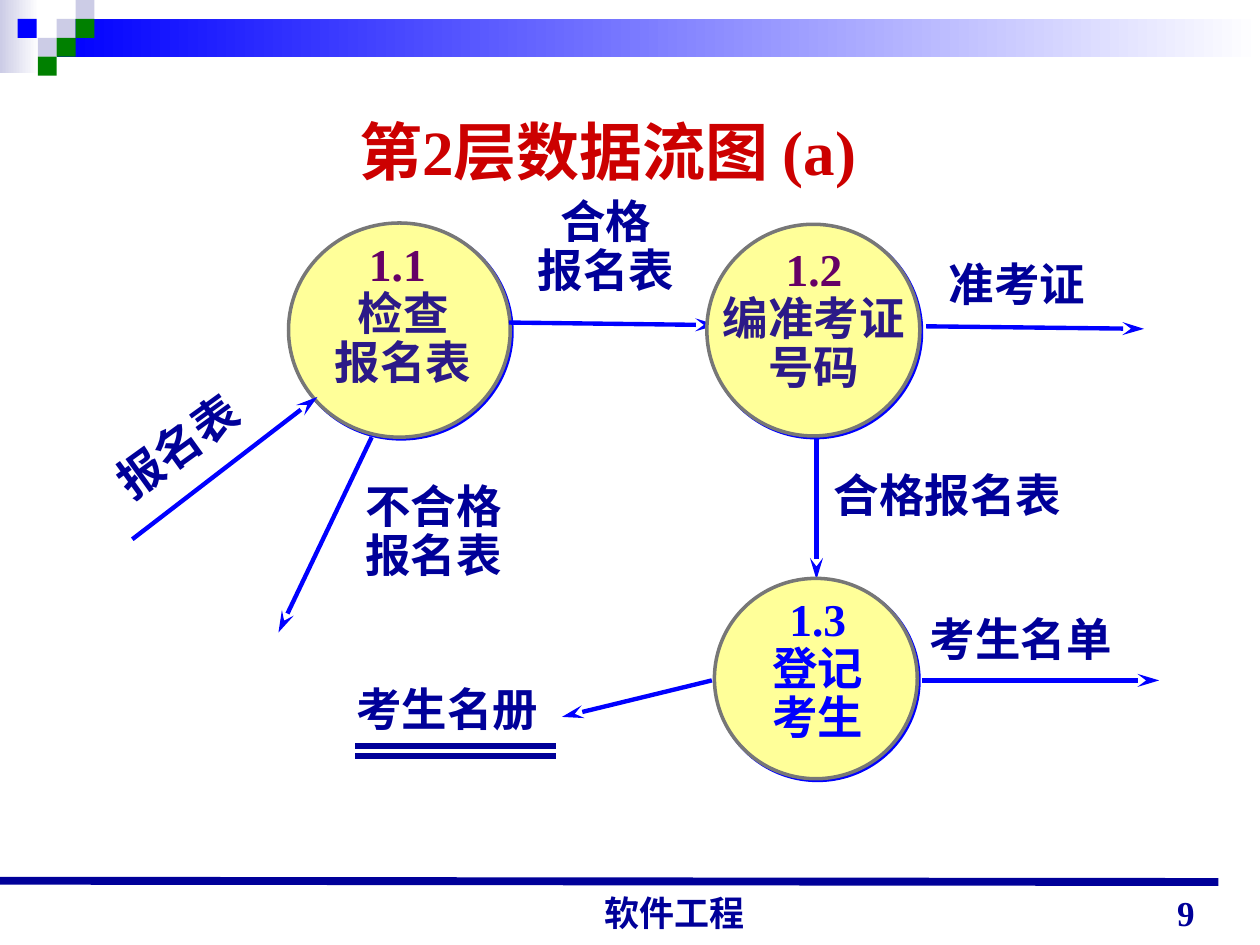
"""Build the level 2 data flow diagram slide."""
from lxml import etree
from pptx import Presentation
from pptx.dml.color import RGBColor
from pptx.enum.shapes import MSO_CONNECTOR as Conn, MSO_SHAPE as Shape
from pptx.enum.text import MSO_ANCHOR as Anchor, PP_ALIGN as Align
from pptx.oxml.ns import qn
from pptx.util import Inches, Pt

hue = RGBColor.from_string
NAVY, BLUE, GREEN, PALE = "000099", "0000FF", "008000", "CCCCE6"


def write(shape, lines, size=26, align=Align.LEFT, anchor=Anchor.TOP, wrap=True):
    frame = shape.text_frame
    frame.word_wrap = wrap
    frame.vertical_anchor = anchor
    for i, (words, tone) in enumerate(lines):
        para = frame.add_paragraph() if i else frame.paragraphs[0]
        para.alignment = align
        para.line_spacing = 0.9 if len(lines) > 1 else 1.0
        run = para.add_run()
        run.text = words
        font = run.font
        font.name, font.size, font.bold = "Times New Roman", Pt(size), True
        font.color.rgb = hue(tone)


def link(ends, tone=BLUE, width=2.5, arrow=True):
    line = shapes.add_connector(Conn.STRAIGHT, *[Inches(n) for n in ends])
    line.line.color.rgb = hue(tone)
    line.line.width = Pt(width)
    if arrow:
        tip = etree.SubElement(line._element.spPr.find(qn("a:ln")), qn("a:tailEnd"))
        tip.set("type", "stealth")
        tip.set("len", "lg")
    etree.SubElement(line._element.spPr, qn("a:effectLst"))


deck = Presentation()
deck.slide_width, deck.slide_height = Inches(10), Inches(7.5)
slide = deck.slides.add_slide(deck.slide_layouts[5])
shapes = slide.shapes

bands = [((0, 0, 0.31, 0.58), PALE), ((0.45, 0.15, 9.55, 0.3), BLUE)]
for box, tone in bands:
    band = shapes.add_shape(Shape.RECTANGLE, *[Inches(n) for n in box])
    band.shadow.inherit = False
    band.line.fill.background()
    band.fill.gradient()
    band.fill.gradient_angle = 0
    for stop, shade in zip(band.fill.gradient_stops, (tone, "FFFFFF")):
        stop.color.rgb = hue(shade)

tiles = [(0.45, 0.15, PALE), (0.6, 0, PALE), (0.6, 0.15, GREEN), (0.3, 0.3, PALE),
         (0.14, 0.15, BLUE), (0.45, 0.3, GREEN), (0.3, 0.45, GREEN)]
for left, top, tone in tiles:
    tile = shapes.add_shape(Shape.RECTANGLE, Inches(left), Inches(top), Inches(0.15), Inches(0.15))
    tile.shadow.inherit = False
    tile.line.fill.background()
    tile.fill.solid()
    tile.fill.fore_color.rgb = hue(tone)

link((0, 6.99, 9.67, 7), NAVY, 4.5, False)

title = shapes.title
title.left, title.top, title.width, title.height = [Inches(n) for n in (2.75, 0.84, 5.2, 1.3)]
write(title, [("第2层数据流图 (a)", "CC0000")], 36)

flows = [(1.05, 4.28, 2.52, 3.15), (4.04, 2.56, 5.69, 2.58), (7.35, 2.59, 9.08, 2.61),
         (2.95, 3.47, 2.21, 5.02), (6.48, 3.47, 6.48, 4.6), (5.65, 5.4, 4.46, 5.69),
         (7.32, 5.4, 9.2, 5.4)]
PLUM, INK = "660066", "2C1A88"
nodes = [
    ([], (2.29, 1.77, 1.76, 1.7), (2.2, 1.87, 2, 1.27),
     [("1.1 ", PLUM), ("检查", INK), ("报名表", INK)]),
    (flows, (5.61, 1.78, 1.69, 1.68), (5.62, 1.91, 1.68, 1.27),
     [("1.2", PLUM), ("编准考证号码", INK)]),
    ([], (5.67, 4.59, 1.61, 1.59), (5.65, 4.69, 1.68, 1.27),
     [("1.3", BLUE), ("登记", BLUE), ("考生", BLUE)]),
]
for under, ring, box, lines in nodes:
    for ends in under:
        link(ends)
    node = shapes.add_shape(Shape.OVAL, *[Inches(n) for n in ring])
    node.fill.solid()
    node.fill.fore_color.rgb = hue("FFFF99")
    node.line.color.rgb = hue("777777")
    node.line.width = Pt(2)
    node.shadow.inherit = False
    cast = etree.SubElement(node._element.spPr.find(qn("a:effectLst")), qn("a:outerShdw"))
    for key, value in (("dist", Pt(1.4)), ("dir", 45 * 60000), ("algn", "ctr"), ("rotWithShape", 0)):
        cast.set(key, str(value))
    etree.SubElement(cast, qn("a:srgbClr")).set("val", BLUE)
    write(shapes.add_textbox(*[Inches(n) for n in box]), lines, align=Align.CENTER)

for top in (5.92, 6):
    link((2.82, top, 4.41, top), NAVY, 3, False)

labels = [
    ((0.74, 3.19, 1.55, 0.53), ["报名表"], Align.LEFT, -35.8),
    ((7.43, 1.98, 1.45, 0.53), ["准考证"], Align.LEFT, 0),
    ((2.8, 3.79, 1.44, 0.88), ["不合格", "报名表"], Align.LEFT, 0),
    ((2.73, 5.36, 1.65, 0.53), ["考生名册"], Align.LEFT, 0),
    ((7.28, 4.8, 1.8, 0.53), ["考生名单"], Align.LEFT, 0),
    ((3.89, 1.53, 1.84, 0.88), ["合格", "报名表"], Align.CENTER, 0),
    ((6.52, 3.66, 2.01, 0.54), ["合格报名表"], Align.LEFT, 0),
]
for box, lines, align, turn in labels:
    label = shapes.add_textbox(*[Inches(n) for n in box])
    label.rotation = turn
    write(label, [(words, NAVY) for words in lines], align=align, wrap=len(lines[0]) < 4)

feet = [((3.65, 7.05, 3.17, 0.41), "软件工程", Align.CENTER),
        ((7.25, 6.96, 2.33, 0.5), "9", Align.RIGHT)]
for box, words, align in feet:
    foot = shapes.add_textbox(*[Inches(n) for n in box])
    write(foot, [(words, NAVY)], 20, align, Anchor.BOTTOM)
    foot.text_frame.paragraphs[0]._p.get_or_add_pPr().set("marL", str(Inches(0.24)))

deck.save("out.pptx")
